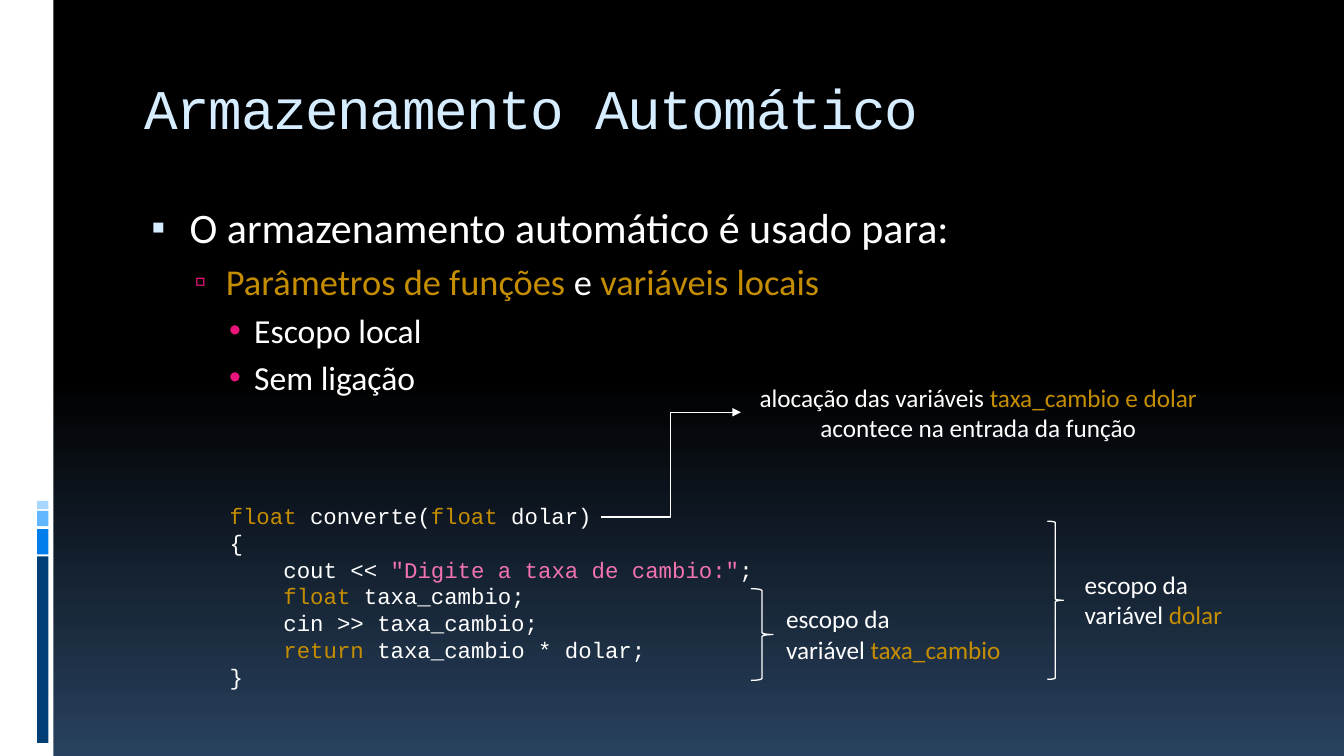
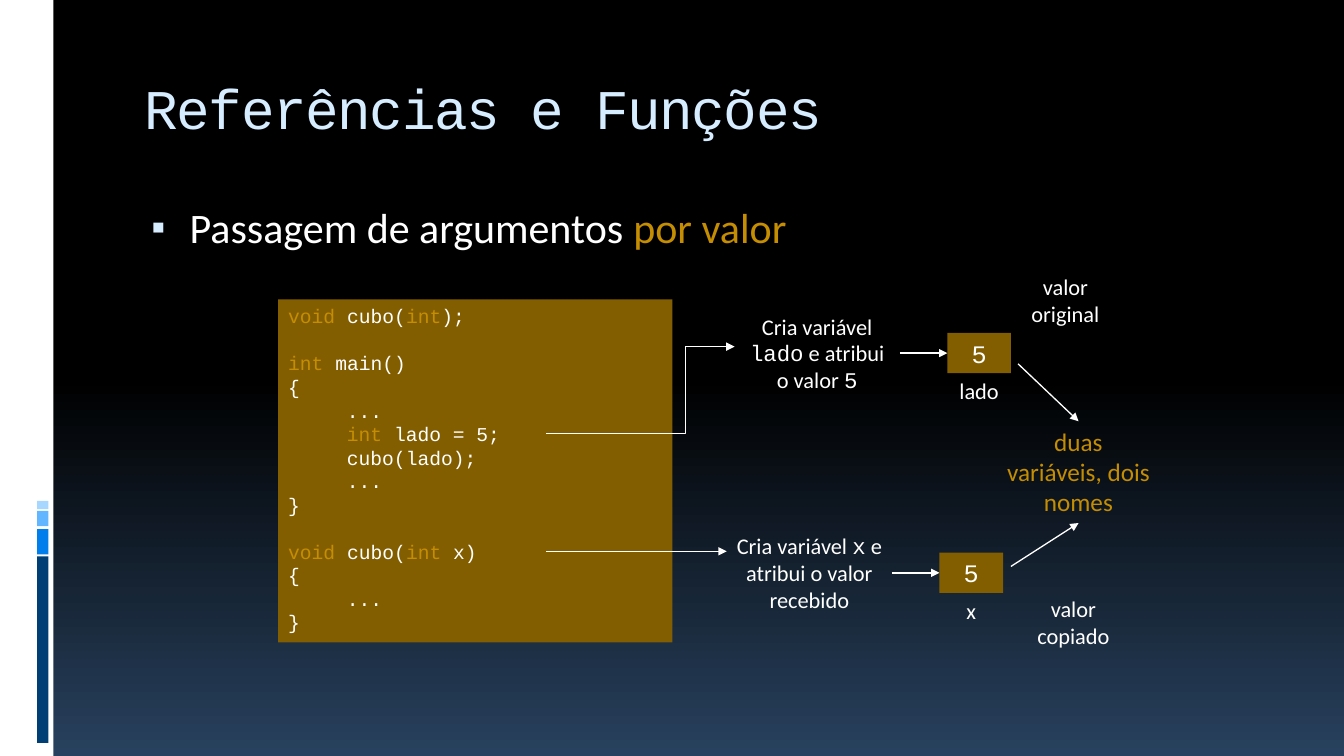
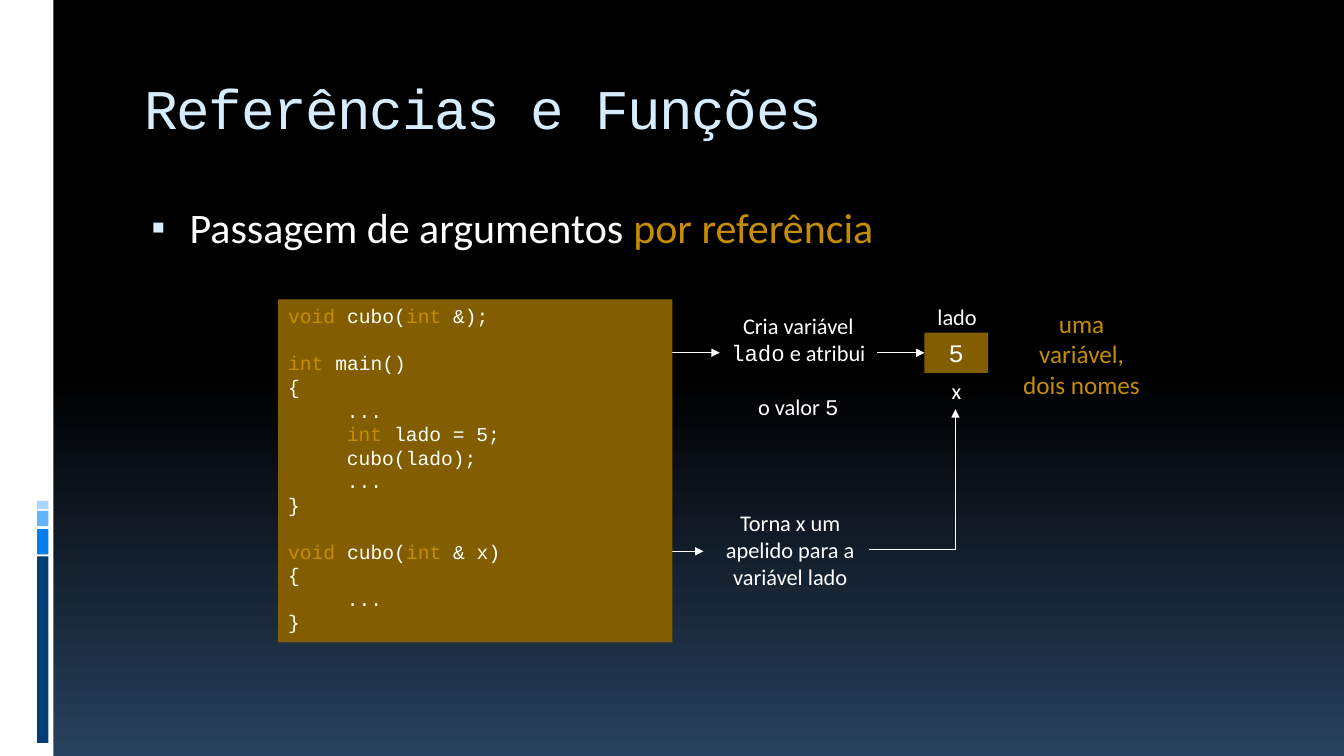
from dataclasses import dataclass

from lxml import etree
from pptx import Presentation
from pptx import util as u
from pptx.dml.color import RGBColor
from pptx.enum import shapes, text
from pptx.oxml import ns

COLORS = {
    "white": "FFFFFF", "black": "000000", "navy": "28415E", "title": "D6ECFF",
    "gold": "C58D01", "panel": "835E01", "pink": "F273AF", "magenta": "EA157A",
}
BANDS = [(397.4, 133.2, "003F75"), (378, 18, "007EEB"),
         (365, 10.8, "61B6FF"), (357.8, 5.8, "A7D6FF")]
STYLES = {
    "plain": ("Calibri", "white"), "key": ("Calibri", "gold"),
    "code": ("Courier New", "white"), "word": ("Courier New", "gold"),
    "quote": ("Courier New", "pink"),
}
# character, colour, size in percent, left margin, hanging indent, text size, space before
BULLETS = [
    ("▪", "title", 95, 32.4, 27.4, 30, 7),
    ("▫", "magenta", 90, 58.3, 22.3, 26, 5.2),
    ("•", "magenta", 100, 78.5, 18, 24, 4.8),
]
CENTER = text.PP_ALIGN.CENTER
MIDDLE = text.MSO_ANCHOR.MIDDLE
TITLE_BOX = (96, 40.3, 816, 72)
BODY_BOX = (96, 140.4, 816, 360)
DIAGRAM_BOX = (198.7, 213.8, 630, 245)


@dataclass
class Para:
    """A paragraph: (text, style) runs, left indent and space before."""
    runs: list
    indent: float = 0
    before: float = 0


def rgb(name):
    """Colour object for a palette name or a hex string."""
    return RGBColor.from_string(COLORS.get(name, name))


def pts(*values):
    """Convert numbers in points to lengths."""
    return [u.Pt(v) for v in values]


def add_run(p, words, style, size):
    """Append one formatted run."""
    font, color = STYLES[style]
    r = p.add_run()
    r.text = words
    r.font.name, r.font.size = font, u.Pt(size)
    r.font.color.rgb = rgb(color)
    return r


def write(tf, paras, size, align=text.PP_ALIGN.LEFT, anchor=text.MSO_ANCHOR.TOP):
    """Fill a text frame with paragraphs."""
    tf.word_wrap = True
    tf.vertical_anchor = anchor
    for i, para in enumerate(paras):
        p = tf.add_paragraph() if i else tf.paragraphs[0]
        p.alignment = align
        p.space_before = u.Pt(para.before)
        if para.indent:
            p._p.get_or_add_pPr().set("marL", str(u.Pt(para.indent)))
        for words, style in para.runs:
            add_run(p, words, style, size)


def note(s, box, paras, size=16, align=CENTER):
    """Free text in a box."""
    write(s.shapes.add_textbox(*pts(*box)).text_frame, paras, size, align)


def block(s, box, color):
    """Plain filled rectangle."""
    sp = s.shapes.add_shape(shapes.MSO_SHAPE.RECTANGLE, *pts(*box))
    sp.shadow.inherit = False
    sp.fill.solid()
    sp.fill.fore_color.rgb = rgb(color)
    sp.line.fill.background()
    return sp


def brace(s, box):
    """Right brace that marks a scope."""
    sp = s.shapes.add_shape(shapes.MSO_SHAPE.RIGHT_BRACE, *pts(*box))
    sp.shadow.inherit = False
    sp.fill.background()
    sp.line.color.rgb = rgb("white")
    sp.line.width = u.Pt(0.94)


def arrow(s, start, end, bend=None, corner=False):
    """Arrow: straight, with a middle leg at the fraction bend, or with one corner."""
    kind = shapes.MSO_CONNECTOR.ELBOW if bend or corner else shapes.MSO_CONNECTOR.STRAIGHT
    c = s.shapes.add_connector(kind, *pts(*start, *end))
    c.line.color.rgb = rgb("white")
    c.line.width = u.Pt(0.94)
    spPr = c.element.spPr
    etree.SubElement(spPr.find(ns.qn("a:ln")), ns.qn("a:tailEnd"), type="triangle")
    etree.SubElement(spPr, ns.qn("a:effectLst"))
    geom = spPr.find(ns.qn("a:prstGeom"))
    if corner:
        geom.set("prst", "bentConnector2")
    elif bend:
        etree.SubElement(geom.find(ns.qn("a:avLst")), ns.qn("a:gd"),
                         name="adj1", fmla=f"val {round(bend * 100000)}")


def set_background(master):
    """Black to navy gradient behind every slide."""
    fill = master.background.fill
    fill.gradient()
    fill.gradient_angle = 270
    for stop, position, color in zip(fill.gradient_stops, (0.5, 1), ("black", "navy")):
        stop.position = position
        stop.color.rgb = rgb(color)


def new_slide(prs, title):
    """Slide with the side bands and a formatted title."""
    s = prs.slides.add_slide(prs.slide_layouts[5])
    block(s, (0, 0, 38.2, 540), "white")
    for top, height, color in BANDS:
        block(s, (26.6, top, 7.9, height), color)
    sp = s.shapes.title
    sp.left, sp.top, sp.width, sp.height = pts(*TITLE_BOX)
    tf = sp.text_frame
    tf.auto_size = text.MSO_AUTO_SIZE.NONE
    write(tf, [Para([(title, "code")])], 40, anchor=MIDDLE)
    r = tf.paragraphs[0].runs[0]
    r.font.color.rgb = rgb("title")
    r.font._element.set("spc", "-100")
    return s


def bullet_list(s, box, items):
    """Bulleted outline; each item is (level, runs)."""
    tf = s.shapes.add_textbox(*pts(*box)).text_frame
    tf.word_wrap = True
    for i, (level, runs) in enumerate(items):
        char, color, percent, margin, hang, size, before = BULLETS[level]
        p = tf.add_paragraph() if i else tf.paragraphs[0]
        p.level = level
        p.space_before = u.Pt(before)
        pPr = p._p.get_or_add_pPr()
        pPr.set("marL", str(u.Pt(margin)))
        pPr.set("indent", str(-u.Pt(hang)))
        clr = etree.SubElement(pPr, ns.qn("a:buClr"))
        etree.SubElement(clr, ns.qn("a:srgbClr"), val=COLORS[color])
        etree.SubElement(pPr, ns.qn("a:buSzPct"), val=str(percent * 1000))
        etree.SubElement(pPr, ns.qn("a:buFont"), typeface="Arial")
        etree.SubElement(pPr, ns.qn("a:buChar"), char=char)
        for words, style in runs:
            add_run(p, words, style, size)


def cube_code(s, box, reference=""):
    """Panel with the cubo program; reference is the mark after the type."""
    x, y, _, h = box
    tab, gap = 42, 16.8
    lines = [
        Para([("void ", "word"), ("cubo(", "code"), ("int", "word"),
              (f"{reference});", "code")]),
        Para([("int ", "word"), ("main()", "code")], before=gap),
        Para([("{", "code")]),
        Para([("...", "code")], tab),
        Para([("int ", "word"), ("lado = 5;", "code")], tab),
        Para([("cubo(lado);", "code")], tab),
        Para([("...", "code")], tab),
        Para([("}", "code")]),
        Para([("void ", "word"), ("cubo(", "code"), ("int", "word"),
              (f"{reference} x)", "code")], before=gap),
        Para([("{", "code")]),
        Para([("...", "code")], tab),
        Para([("}", "code")]),
    ]
    write(block(s, (x, y, 281.5, h), "panel").text_frame, lines, 14)


def creation(s, box, paras, name, name_width=45.4):
    """Note, arrow, value cell and the variable name under the cell."""
    x, y, w, h = box
    cell_w, cell_x = 45.4, x + w + 34
    note(s, box, paras)
    arrow(s, (x + w, y + 32.4), (cell_x, y + 32.4))
    cell = block(s, (cell_x, y + 18, cell_w, 28.8), "panel")
    write(cell.text_frame, [Para([("5", "code")])], 18, CENTER, MIDDLE)
    note(s, (cell_x + (cell_w - name_width) / 2, y + 46, name_width, 26.6),
         [Para([(name, "plain")])])


def lado_note(gap=0):
    """Paragraphs that explain how lado is created."""
    return [Para([("Cria variável ", "plain"), ("lado", "code"), (" e atribui", "plain")]),
            Para([("o valor ", "plain"), ("5", "code")], before=gap)]


def value_diagram(s, box):
    """Passing by value: two variables, two names."""
    x, y, _, _ = box
    cube_code(s, box)
    creation(s, (x + 326, y + 6, 118, 65.5), lado_note(), "lado")
    creation(s, (x + 320.4, y + 163, 118, 65.5),
             [Para([("Cria variável ", "plain"), ("x", "code"),
                    (" e atribui o valor recebido", "plain")])], "x")
    for dx, dy, words in ((528.5, -22.3, "valor original"), (534.2, 208, "valor copiado")):
        note(s, (x + dx, y + dy, 67.7, 46), [Para([(words, "plain")])])
    note(s, (x + 512.6, y + 87.1, 118, 72.7),
         [Para([("duas variáveis, dois nomes", "key")])], 18)
    arrow(s, (x + 191.5, y + 95.8), (x + 326, y + 33.8), bend=0.74)
    arrow(s, (x + 191.5, y + 180), (x + 320.4, y + 180))
    arrow(s, (x + 528.5, y + 46.1), (x + 571.7, y + 87.1))
    arrow(s, (x + 523.4, y + 190.8), (x + 571.7, y + 159.8))


def reference_diagram(s, box):
    """Passing by reference: one variable, two names."""
    x, y, _, _ = box
    arrow(s, (x + 191.5, y + 95.8), (x + 315.4, y + 38.2), bend=0.5)
    arrow(s, (x + 196.6, y + 180), (x + 303.8, y + 180))
    cube_code(s, box, " &")
    creation(s, (x + 315.4, y + 5.8, 112.3, 65.5), lado_note(19.5), "x", 78.5)
    note(s, (x + 445.7, y - 0.7, 78.5, 26.6), [Para([("lado", "plain")])])
    note(s, (x + 522, y + 2.9, 103.7, 72.7),
         [Para([("uma variável, dois nomes", "key")])], 18)
    note(s, (x + 309.6, y + 146.2, 112.3, 65.5),
         [Para([("Torna x um apelido para a variável lado", "plain")])])
    arrow(s, (x + 421.9, y + 178.6), (x + 483.8, y + 78.5), corner=True)


def scope_diagram(s, box):
    """The converte function with its scopes and allocation."""
    x, y, _, _ = box
    tab = 38.4
    note(s, (x, y, 479.5, 162.7), [
        Para([("float", "word"), (" converte(", "code"), ("float", "word"),
              (" dolar)", "code")]),
        Para([("{", "code")]),
        Para([("cout << ", "code"), ('"Digite a taxa de cambio:"', "quote"),
              (";", "code")], tab),
        Para([("float ", "word"), ("taxa_cambio;", "code")], tab),
        Para([("cin >> taxa_cambio;", "code")], tab),
        Para([("return", "word"), (" taxa_cambio * dolar;", "code")], tab),
        Para([("}", "code")]),
    ], 16, text.PP_ALIGN.LEFT)
    brace(s, (x + 379.4, y + 65.5, 15.8, 65.5))
    brace(s, (x + 591.1, y + 17.3, 11.5, 113))
    for dx, dy, w, name in ((397.4, 72.7, 173.5, "taxa_cambio"), (610.6, 48.2, 115.2, "dolar")):
        note(s, (x + dx, y + dy, w, 51.1),
             [Para([("escopo da", "plain")]),
              Para([("variável ", "plain"), (name, "key")])], 18, text.PP_ALIGN.LEFT)
    note(s, (x + 372.2, y - 85.7, 339.1, 51.1), [
        Para([("alocação das variáveis ", "plain"), ("taxa_cambio e dolar", "key")]),
        Para([("acontece na entrada da função", "plain")]),
    ], 18)
    arrow(s, (x + 272.2, y + 14.4), (x + 372.2, y - 60.5), bend=0.5)


def main():
    """Build and save the three slides."""
    prs = Presentation()
    prs.slide_width, prs.slide_height = pts(960, 540)
    set_background(prs.slide_master)

    s = new_slide(prs, "Armazenamento Automático")
    bullet_list(s, BODY_BOX, [
        (0, [("O armazenamento automático é usado para:", "plain")]),
        (1, [("Parâmetros de funções ", "key"), ("e ", "plain"), ("variáveis locais", "key")]),
        (2, [("Escopo local", "plain")]),
        (2, [("Sem ligação", "plain")]),
    ])
    scope_diagram(s, (157, 355, 726, 163))

    for way, diagram in (("por valor", value_diagram), ("por referência", reference_diagram)):
        s = new_slide(prs, "Referências e Funções")
        bullet_list(s, BODY_BOX, [(0, [("Passagem de argumentos ", "plain"), (way, "key")])])
        diagram(s, DIAGRAM_BOX)

    prs.save("out.pptx")


main()
